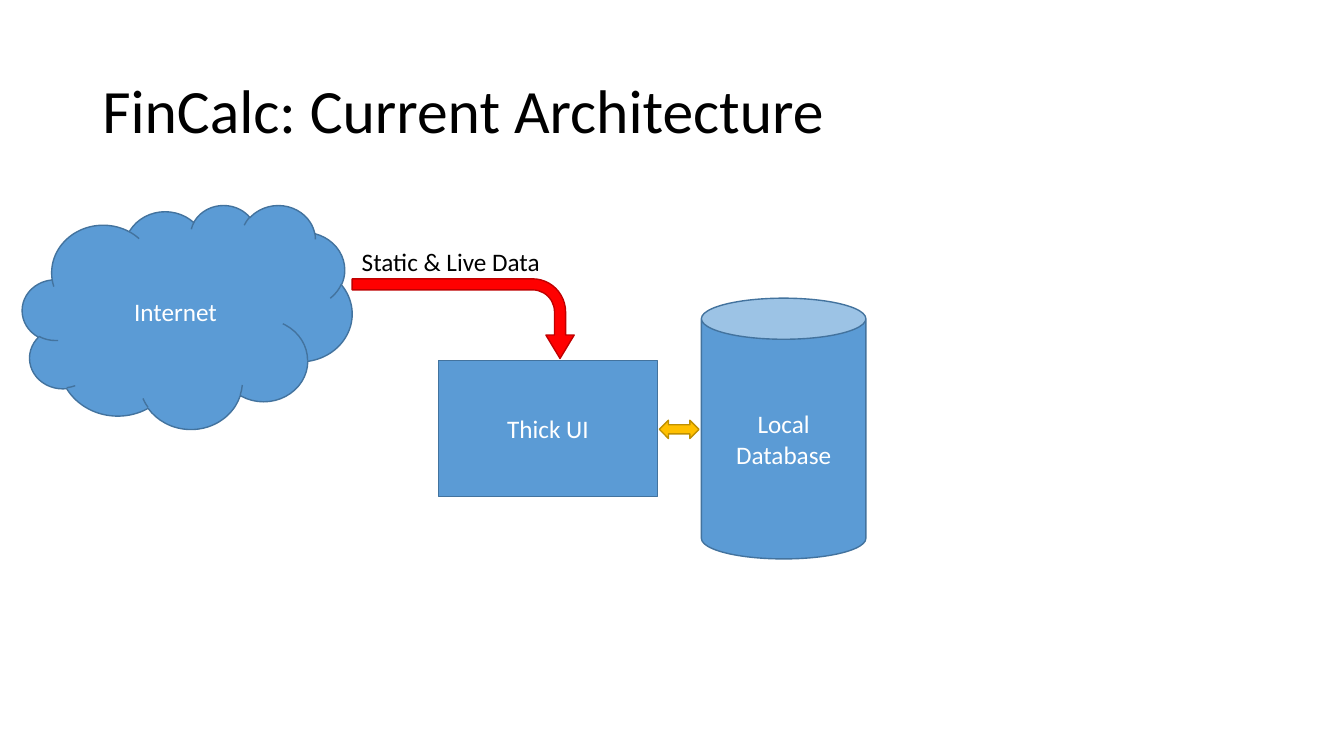
from dataclasses import dataclass

from pptx import Presentation
from pptx.dml.color import RGBColor
from pptx.enum import shapes, text
from pptx.util import Pt


@dataclass(frozen=True)
class Theme:
    """Colours as (fill, line) pairs, type sizes and font of the slide."""
    font: str = "Calibri"
    head: int = 44
    body: int = 18
    ink: str = "000000"
    pale: str = "FFFFFF"
    blue: tuple = ("5B9BD5", "43739E")
    gold: tuple = ("FFC000", "BF9000")
    red: tuple = ("FF0000", "C00000")


THEME = Theme()
KIND = shapes.MSO_SHAPE


def write(shape, words, size, ink, align, anchor, wrap=True, lead=1.0):
    """Put one run of text into a shape."""
    frame = shape.text_frame
    frame.word_wrap = wrap
    frame.vertical_anchor = anchor
    para = frame.paragraphs[0]
    para.alignment = align
    para.line_spacing = lead
    run = para.add_run()
    run.text = words
    run.font.name = THEME.font
    run.font.size = Pt(size)
    run.font.color.rgb = RGBColor.from_string(ink)


def label(slide, box, words, size, anchor, wrap=True, lead=1.0):
    """Add a left-aligned text box."""
    area = slide.shapes.add_textbox(*map(Pt, box))
    write(area, words, size, THEME.ink, text.PP_ALIGN.LEFT, anchor, wrap, lead)


def form(slide, kind, box, tint):
    """Add a filled and outlined preset shape."""
    shape = slide.shapes.add_shape(kind, *map(Pt, box))
    shape.shadow.inherit = False
    fill, line = map(RGBColor.from_string, tint)
    shape.fill.solid()
    shape.fill.fore_color.rgb = fill
    shape.line.color.rgb = line
    shape.line.width = Pt(1)
    return shape


def node(slide, kind, box, words):
    """Add a blue system part with its name in the middle."""
    shape = form(slide, kind, box, THEME.blue)
    write(shape, words, THEME.body, THEME.pale,
          text.PP_ALIGN.CENTER, text.MSO_ANCHOR.MIDDLE)


def bend(slide, box, ratios):
    """Add the red arrow that turns from the right to downwards."""
    arrow = form(slide, KIND.BENT_ARROW, box, THEME.red)
    arrow.rotation = 90
    for index, ratio in enumerate(ratios):
        arrow.adjustments[index] = ratio


def main():
    """Build the slide and save it."""
    deck = Presentation()
    deck.slide_width, deck.slide_height = Pt(960), Pt(540)
    slide = deck.slides.add_slide(deck.slide_layouts[6])
    label(slide, (66, 28.75, 828, 104.4), "FinCalc: Current Architecture",
          THEME.head, text.MSO_ANCHOR.MIDDLE, lead=0.9)
    node(slide, KIND.RECTANGLE, (313.2, 257.7, 156.4, 97), "Thick UI")
    node(slide, KIND.CAN, (501, 213, 117.5, 186.3), "Local Database")
    form(slide, KIND.LEFT_RIGHT_ARROW, (471, 300.2, 28.3, 13), THEME.gold)
    node(slide, KIND.CLOUD, (16, 146.3, 235.5, 160), "Internet")
    bend(slide, (302.4, 148.3, 56.9, 158.6), (0.139, 0.178, 0.294, 0.415))
    label(slide, (251.3, 172.2, 143.3, 29), "Static & Live Data",
          THEME.body, text.MSO_ANCHOR.TOP, wrap=False)
    deck.save("out.pptx")


if __name__ == "__main__":
    main()
